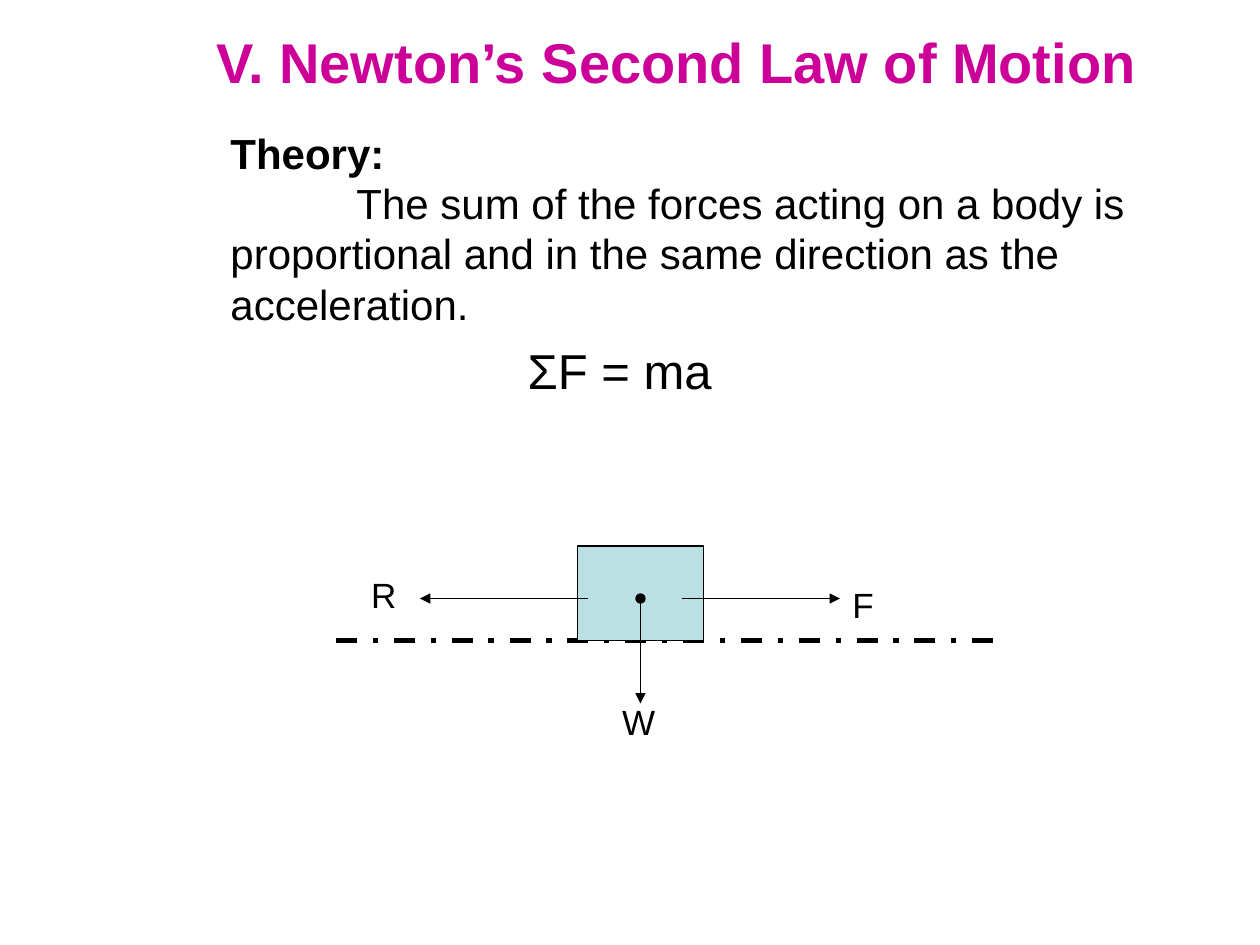
from dataclasses import dataclass

import pptx
import pptx.dml.color
import pptx.enum.dml
import pptx.enum.shapes
import pptx.enum.text
import pptx.oxml.ns
import pptx.util
from lxml import etree

Pt = pptx.util.Pt


@dataclass(frozen=True)
class Theme:
    font: str = "Arial"
    heading: str = "CC0099"
    ink: str = "000000"
    block: str = "BBE0E3"
    title_size: int = 32
    body_size: int = 24
    formula_size: int = 28
    label_size: int = 20
    line_height: float = 1.2
    thin: float = 0.75
    thick: float = 3


THEME = Theme()


def rgb(value):
    return pptx.dml.color.RGBColor.from_string(value)


def add_element(parent, tag, **attributes):
    return etree.SubElement(parent, pptx.oxml.ns.qn(tag), **attributes)


def place(shape, left, top, width, height):
    shape.left, shape.top = Pt(left), Pt(top)
    shape.width, shape.height = Pt(width), Pt(height)


def prepare_frame(shape, wrap=True):
    frame = shape.text_frame
    frame.word_wrap = wrap
    frame.auto_size = pptx.enum.text.MSO_AUTO_SIZE.NONE
    frame.vertical_anchor = pptx.enum.text.MSO_ANCHOR.TOP
    return frame


def write(para, text, size, color=THEME.ink, bold=False, margin=0, indent=0):
    """Fill one left-aligned paragraph, without a bullet."""
    para.alignment = pptx.enum.text.PP_ALIGN.LEFT
    para.space_before = Pt(0)
    para.line_spacing = Pt(size * THEME.line_height)
    properties = para._p.get_or_add_pPr()
    properties.set("marL", str(Pt(margin)))
    properties.set("indent", str(Pt(indent)))
    add_element(properties, "a:buNone")
    span = para.add_run()
    span.text = text
    span.font.name = THEME.font
    span.font.size = Pt(size)
    span.font.bold = bold
    span.font.color.rgb = rgb(color)


def add_label(page, text, left, top, width, height, size=THEME.label_size):
    box = page.shapes.add_textbox(Pt(left), Pt(top), Pt(width), Pt(height))
    write(prepare_frame(box, wrap=False).paragraphs[0], text, size)


def add_line(page, start, end, weight=THEME.thin, dash=None, head=None, tail=None):
    line = page.shapes.add_connector(
        pptx.enum.shapes.MSO_CONNECTOR.STRAIGHT, *map(Pt, start + end))
    line.line.color.rgb = rgb(THEME.ink)
    line.line.width = Pt(weight)
    if dash:
        line.line.dash_style = dash
    outline = line.line._get_or_add_ln()
    for tag, kind in (("a:headEnd", head), ("a:tailEnd", tail)):
        if kind:
            add_element(outline, tag, type=kind)
    add_element(line._element.spPr, "a:effectLst")


def add_block(page, left, top, width, height):
    block = page.shapes.add_shape(
        pptx.enum.shapes.MSO_SHAPE.RECTANGLE,
        Pt(left), Pt(top), Pt(width), Pt(height))
    block.shadow.inherit = False
    block.fill.solid()
    block.fill.fore_color.rgb = rgb(THEME.block)
    block.line.color.rgb = rgb(THEME.ink)
    block.line.width = Pt(THEME.thin)


def add_theory(page):
    title, body = page.shapes.title, page.placeholders[1]
    place(title, 54, 12, 660, 42)
    write(prepare_frame(title).paragraphs[0], "V. Newton’s Second Law of Motion",
          THEME.title_size, color=THEME.heading, bold=True, margin=62.25)

    place(body, 124.5, 69, 532, 122.5)
    frame = prepare_frame(body)
    write(frame.paragraphs[0], "Theory:", THEME.body_size, bold=True)
    write(frame.add_paragraph(),
          "The sum of the forces acting on a body is proportional "
          "and in the same direction as the acceleration.",
          THEME.body_size, indent=72)

    add_label(page, "ΣF = ma", 294.5, 191, 119.5, 41, size=THEME.formula_size)


def add_force_diagram(page):
    center_x, center_y, ground_y = 366, 342, 366

    # Ground and the block resting on it
    add_line(page, (192, ground_y), (576, ground_y), weight=THEME.thick,
             dash=pptx.enum.dml.MSO_LINE.DASH_DOT)
    add_block(page, center_x - 36, ground_y - 54, 72, 54)

    # Weight, applied force and resistance
    add_line(page, (center_x, center_y), (center_x, 402), head="oval", tail="triangle")
    for start_x, end_x in ((390, 480), (336, 240)):
        add_line(page, (start_x, center_y), (end_x, center_y), tail="triangle")

    # Force names
    for name, left, top, width in (
            ("W", 348.5, 396.5, 33), ("R", 205, 324, 29), ("F", 480, 330, 27)):
        add_label(page, name, left, top, width, 31.5)


def main():
    deck = pptx.Presentation()
    deck.slide_width, deck.slide_height = Pt(720), Pt(540)
    page = deck.slides.add_slide(deck.slide_layouts[1])
    add_theory(page)
    add_force_diagram(page)
    deck.save("out.pptx")


if __name__ == "__main__":
    main()
